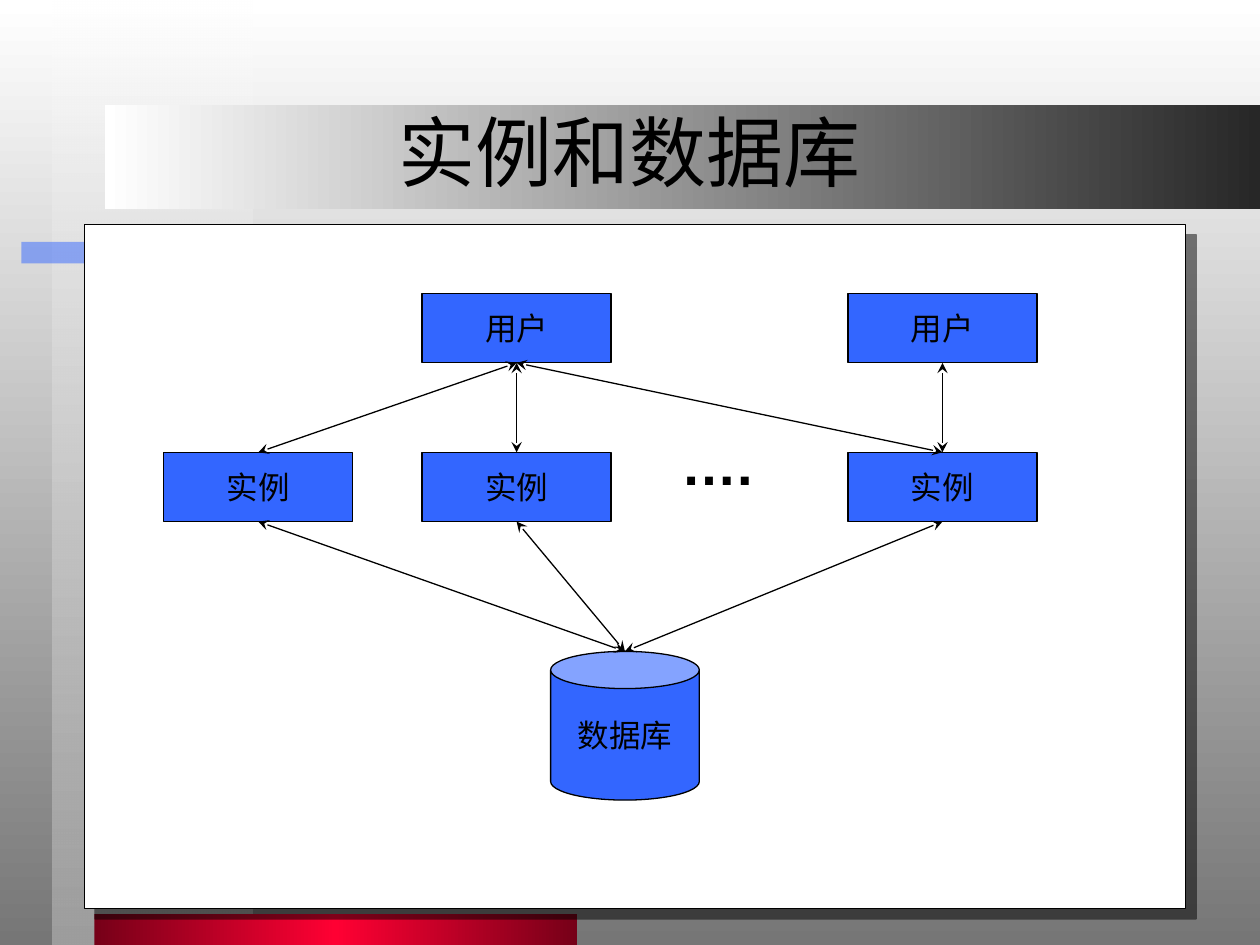
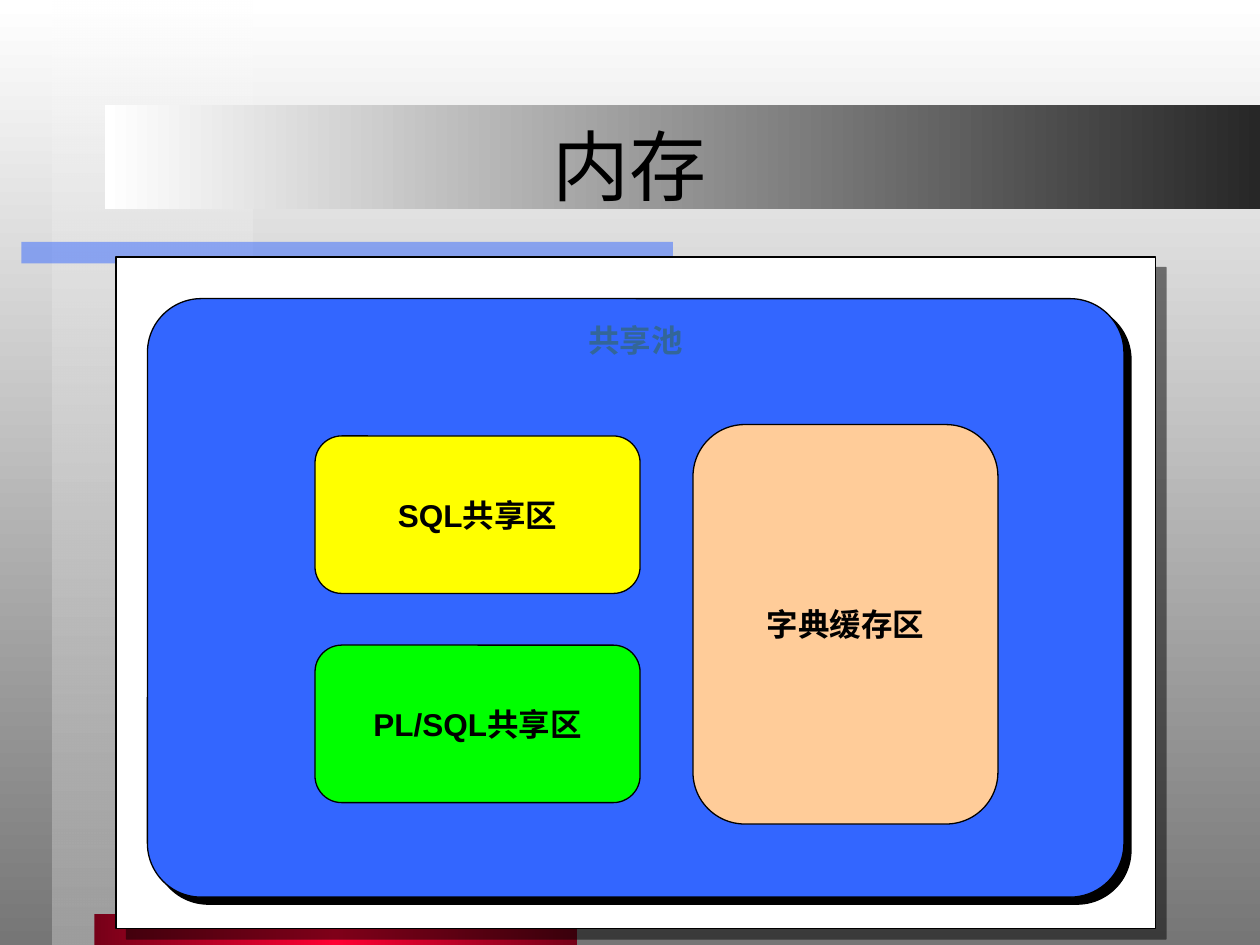
import lxml.etree
import pptx
import pptx.dml.color
import pptx.enum.shapes
import pptx.enum.text
import pptx.oxml.ns
import pptx.util

Inches = pptx.util.Inches
Pt = pptx.util.Pt
RGB = pptx.dml.color.RGBColor
KIND = pptx.enum.shapes.MSO_SHAPE
ALIGN = pptx.enum.text.PP_ALIGN
ANCHOR = pptx.enum.text.MSO_ANCHOR
qn = pptx.oxml.ns.qn

BLACK = RGB(0x00, 0x00, 0x00)
WHITE = RGB(0xFF, 0xFF, 0xFF)
GREY = RGB(0x76, 0x76, 0x76)
SILVER = RGB(0x9E, 0x9E, 0x9E)
COAL = RGB(0x27, 0x27, 0x27)
BLUE = RGB(0x33, 0x66, 0xFF)
TEAL = RGB(0x33, 0x66, 0x99)
WINE = RGB(0x76, 0x00, 0x18)
RED = RGB(0xFF, 0x00, 0x33)
YELLOW = RGB(0xFF, 0xFF, 0x00)
GREEN = RGB(0x00, 0xFF, 0x00)
PEACH = RGB(0xFF, 0xCC, 0x99)

BODY = "Arial"
HEAD = "Times New Roman"


# XML helpers
def add_tag(parent, tag, **attrs):
    node = lxml.etree.SubElement(parent, qn(tag))
    for key, value in attrs.items():
        node.set(key, str(value))
    return node


def add_tint(parent, color, alpha=100):
    tint = add_tag(parent, "a:srgbClr", val=color)
    if alpha < 100:
        add_tag(tint, "a:alpha", val=alpha * 1000)


def grade(fill, root, stops, angle):
    """Give a fill evenly spaced stops of (colour, opacity)."""
    fill.gradient()
    grad = next(root.iter(qn("a:gradFill")))
    for child in list(grad):
        grad.remove(child)
    chain = add_tag(grad, "a:gsLst")
    for i, (color, alpha) in enumerate(stops):
        pos = 100000 * i // (len(stops) - 1)
        add_tint(add_tag(chain, "a:gs", pos=pos), color, alpha)
    add_tag(grad, "a:lin", ang=angle * 60000, scaled=0)


def add_shade(shape, dist, alpha):
    effects = next(shape.element.iter(qn("a:effectLst")))
    shade = add_tag(effects, "a:outerShdw", blurRad=0, dist=int(Pt(dist)),
                    dir=45 * 60000, algn="ctr", rotWithShape=0)
    add_tint(shade, BLACK, alpha)


# Text and shapes
def write(frame, text, size=18, font=BODY, color=BLACK, bold=False,
          align=ALIGN.CENTER):
    para = frame.paragraphs[0]
    para.alignment = align
    run = para.add_run()
    run.text = text
    run.font.size = Pt(size)
    run.font.name = font
    run.font.bold = bold
    run.font.color.rgb = color


def add_box(slide, place, fill=None, kind=KIND.RECTANGLE, lined=True,
            round_by=None):
    shape = slide.shapes.add_shape(kind, *map(Inches, place))
    shape.shadow.inherit = False
    if fill is not None:
        shape.fill.solid()
        shape.fill.fore_color.rgb = fill
    if lined:
        shape.line.color.rgb = BLACK
        shape.line.width = Pt(0.75)
    else:
        shape.line.fill.background()
    if round_by is not None:
        shape.adjustments[0] = round_by
    return shape


def label(shape, text, anchor=ANCHOR.MIDDLE, **style):
    frame = shape.text_frame
    frame.word_wrap = False
    frame.vertical_anchor = anchor
    write(frame, text, **style)


def add_node(slide, left, top, text):
    node = add_box(slide, (left, top, 1.5, 0.55), BLUE)
    label(node, text)
    return node


def add_panel(slide, place):
    add_shade(add_box(slide, place, WHITE), 8.5, 50)


def add_link(slide, start, end):
    """Join two (shape, side) ends, 0 top and 2 bottom."""
    points = []
    for shape, side in (start, end):
        points += [shape.left + shape.width // 2,
                   shape.top + shape.height * side // 2]
    line = slide.shapes.add_connector(
        pptx.enum.shapes.MSO_CONNECTOR.STRAIGHT, *points)
    for join, (shape, side) in ((line.begin_connect, start),
                                (line.end_connect, end)):
        if shape.auto_shape_type == KIND.RECTANGLE:
            join(shape, side)
    line.line.color.rgb = BLACK
    line.line.width = Pt(0.75)
    stroke = next(line.element.iter(qn("a:ln")))
    add_tag(stroke, "a:headEnd", type="stealth")
    add_tag(stroke, "a:tailEnd", type="stealth")
    add_tag(line.element.spPr, "a:effectLst")


# Shared look
def dress(layout, slide):
    """Draw the backdrop and move it to the layout shared by all slides."""
    back = layout.background.fill
    grade(back, layout.element, [(WHITE, 100), (GREY, 100)], 90)

    stripe = add_box(slide, (0.42, 0, 1.58, 7.5), lined=False)
    grade(stripe.fill, stripe.element, [(WHITE, 50), (SILVER, 100)], 90)

    rule = add_box(slide, (0.17, 1.92, 5.17, 0.17), BLUE, lined=False)
    tint = next(rule.element.spPr.iter(qn("a:srgbClr")))
    add_tag(tint, "a:alpha", val=50000)

    foot = add_box(slide, (0.75, 7.25, 3.83, 0.25), lined=False)
    grade(foot.fill, foot.element, [(WINE, 100), (RED, 100), (WINE, 100)], 0)

    band = add_box(slide, (0.83, 0.83, 9.17, 0.83), lined=False)
    grade(band.fill, band.element, [(WHITE, 100), (COAL, 100)], 0)

    for part in (stripe, rule, foot, band):
        layout.shapes.element.append(part.element)


def set_title(slide, text, top):
    title = slide.shapes.title
    title.left, title.top, title.width, title.height = map(
        Inches, (0.5, top, 9, 0.87))
    title.text_frame.vertical_anchor = ANCHOR.MIDDLE
    write(title.text_frame, text, 44, HEAD)


# Slides
def draw_users(slide):
    set_title(slide, "实例和数据库", 0.76)
    add_panel(slide, (0.67, 1.78, 8.74, 5.43))

    store = add_box(slide, (4.37, 5.17, 1.18, 1.18), BLUE, KIND.CAN,
                    round_by=0.25)
    label(store, "数据库")

    cols = (1.3, 3.35, 6.73)
    users = [add_node(slide, left, 2.33, "用户") for left in cols[1:]]
    nodes = [add_node(slide, left, 3.59, "实例") for left in cols]

    dots = slide.shapes.add_textbox(*map(Inches, (5.31, 3.36, 1.26, 0.64)))
    dots.text_frame.word_wrap = True
    write(dots.text_frame, "….", 32, bold=True, align=ALIGN.LEFT)

    for node in nodes:
        add_link(slide, (store, 0), (node, 2))
        add_link(slide, (node, 0), (users[0], 2))
    add_link(slide, (nodes[-1], 0), (users[1], 2))


def draw_pool(slide):
    set_title(slide, "内存", 0.87)
    add_panel(slide, (0.92, 2.04, 8.25, 5.33))

    pool = add_box(slide, (1.17, 2.37, 7.75, 4.75), BLUE,
                   KIND.ROUNDED_RECTANGLE, round_by=0.09)
    add_shade(pool, 5.7, 100)
    label(pool, "共享池", ANCHOR.TOP, color=TEAL, bold=True)

    areas = (
        ("字典缓存区", (5.5, 3.37, 2.42, 3.17), PEACH),
        ("SQL共享区", (2.5, 3.46, 2.58, 1.25), YELLOW),
        ("PL/SQL共享区", (2.5, 5.12, 2.58, 1.25), GREEN),
    )
    for text, place, fill in areas:
        area = add_box(slide, place, fill, KIND.ROUNDED_RECTANGLE,
                       round_by=0.17)
        label(area, text, bold=True)


def main():
    deck = pptx.Presentation()
    deck.slide_width = Inches(10)
    deck.slide_height = Inches(7.5)
    layout = deck.slide_layouts[5]
    first, second = [deck.slides.add_slide(layout) for _ in range(2)]
    dress(layout, first)
    draw_users(first)
    draw_pool(second)
    deck.save("out.pptx")


if __name__ == "__main__":
    main()
